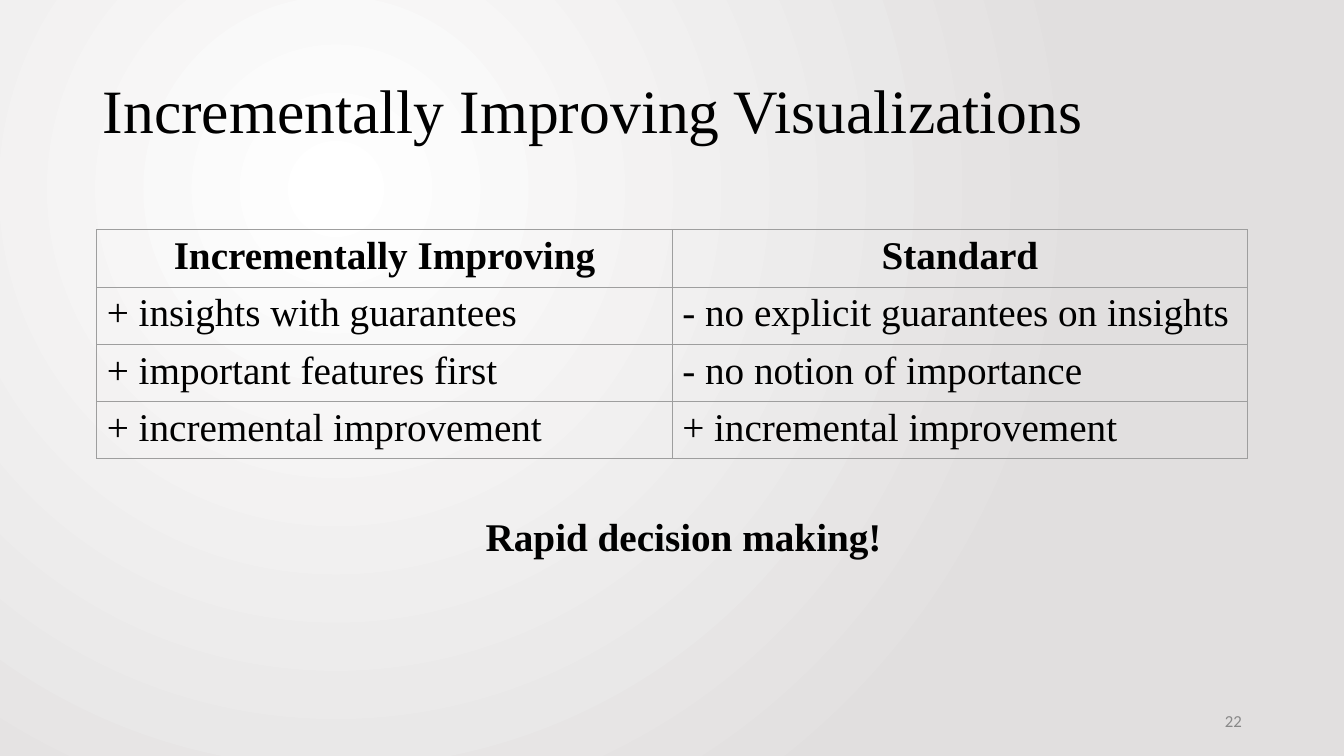
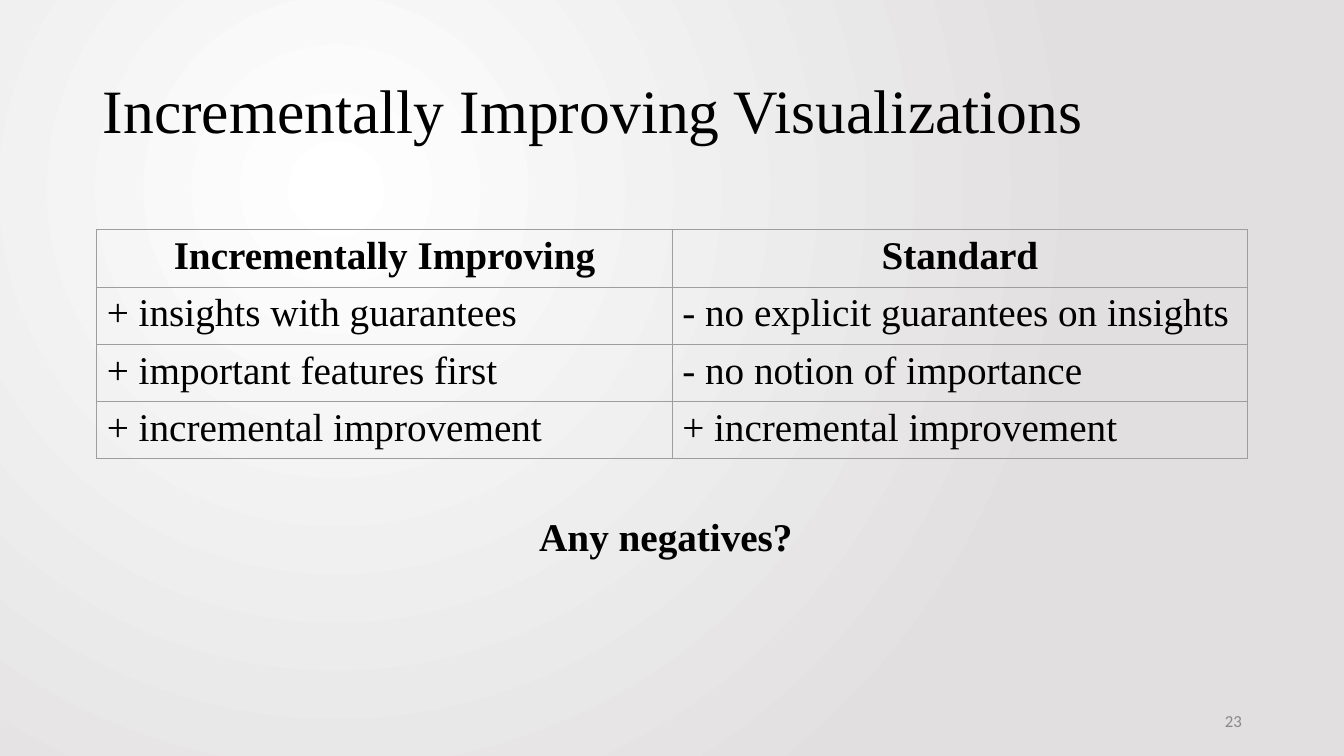
from lxml.etree import SubElement
from pptx import Presentation
from pptx.dml.color import RGBColor
from pptx.enum.text import MSO_ANCHOR, PP_ALIGN
from pptx.oxml.ns import qn
from pptx.util import Cm, Pt

COLORS = {"text": "000000", "number": "888888", "border": "9E9E9E",
          "center": "FFFFFF", "edge": "E1DFDF"}
SERIF = "Times New Roman"
TITLE = {"name": SERIF, "size": Pt(44)}
BODY = {"name": SERIF, "size": Pt(28), "bold": False}
STRONG = {**BODY, "bold": True}
NUMBER = {"name": "Calibri", "size": Pt(12)}

COMPARISON = [
    ("Incrementally Improving", "Standard"),
    ("+ insights with guarantees", "- no explicit guarantees on insights"),
    ("+ important features first", "- no notion of importance"),
    ("+ incremental improvement", "+ incremental improvement"),
]
# Slide number, closing remark and its left edge in cm
SLIDES = [
    (22, "Rapid decision making!", 11.99),
    (23, "Any negatives?", 13.34),
]


class Deck:
    def __init__(self):
        self.prs = Presentation()
        self.prs.slide_width, self.prs.slide_height = Cm(33.87), Cm(19.05)
        self.s = None
        self.set_background()

    def set_background(self):
        """Give the master a radial gradient centred in the upper left."""
        master = self.prs.slide_master
        fill = master.background.fill
        fill.gradient()
        for stop, position, color in zip(fill.gradient_stops, (0, 1), ("center", "edge")):
            stop.position = position
            stop.color.rgb = RGBColor.from_string(COLORS[color])
        grad = master.element.find(".//" + qn("a:gradFill"))
        grad.remove(grad.find(qn("a:lin")))
        circle = SubElement(grad, qn("a:path"), {"path": "circle"})
        SubElement(circle, qn("a:fillToRect"),
                   {"l": "50000", "t": "50000", "r": "100000", "b": "100000"})

    def new_slide(self):
        self.s = self.prs.slides.add_slide(self.prs.slide_layouts[6])

    def add_run(self, tf, text, font, color="text", **paragraph):
        p = tf.paragraphs[0]
        for name, value in paragraph.items():
            setattr(p, name, value)
        r = p.add_run()
        r.text = text
        for name, value in font.items():
            setattr(r.font, name, value)
        r.font.color.rgb = RGBColor.from_string(COLORS[color])

    def text(self, box, text, font, anchor=MSO_ANCHOR.TOP, margin=0.25, **style):
        tf = self.s.shapes.add_textbox(*map(Cm, box)).text_frame
        frame = {"word_wrap": True, "vertical_anchor": anchor,
                 "margin_top": Cm(margin), "margin_bottom": Cm(margin)}
        for name, value in frame.items():
            setattr(tf, name, value)
        self.add_run(tf, text, font, **style)

    def title(self, text):
        self.text((2.34, 1.02, 29.21, 3.68), text, TITLE, MSO_ANCHOR.MIDDLE,
                  line_spacing=0.9)

    def remark(self, text, left):
        self.text((left, 12.8, 10.9, 1.8), text, STRONG, line_spacing=0.9)

    def number(self, value):
        self.text((23.93, 17.65, 7.62, 1.02), str(value), NUMBER, MSO_ANCHOR.MIDDLE,
                  margin=0.13, color="number", alignment=PP_ALIGN.RIGHT)

    def border(self, cell):
        tc_pr = cell._tc.get_or_add_tcPr()
        for i, side in enumerate(("lnL", "lnR", "lnT", "lnB")):
            ln = tc_pr.makeelement(qn("a:" + side), {"w": str(Pt(0.75))})
            solid = SubElement(ln, qn("a:solidFill"))
            SubElement(solid, qn("a:srgbClr"), {"val": COLORS["border"]})
            tc_pr.insert(i, ln)

    def table(self, rows):
        row_height, col_width = 1.04, 14.5
        n_cols = len(rows[0])
        table = self.s.shapes.add_table(
            len(rows), n_cols, Cm(2.44), Cm(5.79),
            Cm(col_width * n_cols), Cm(row_height * len(rows))).table
        table.first_row = table.horz_banding = False
        for i, row in enumerate(rows):
            font, alignment = (BODY, PP_ALIGN.LEFT) if i else (STRONG, PP_ALIGN.CENTER)
            for j, text in enumerate(row):
                cell = table.cell(i, j)
                cell.fill.background()
                self.border(cell)
                self.add_run(cell.text_frame, text, font, alignment=alignment)


def main():
    deck = Deck()
    for number, remark, left in SLIDES:
        deck.new_slide()
        deck.number(number)
        deck.title("Incrementally Improving Visualizations")
        deck.remark(remark, left)
        deck.table(COMPARISON)
    deck.prs.save("out.pptx")


if __name__ == "__main__":
    main()
